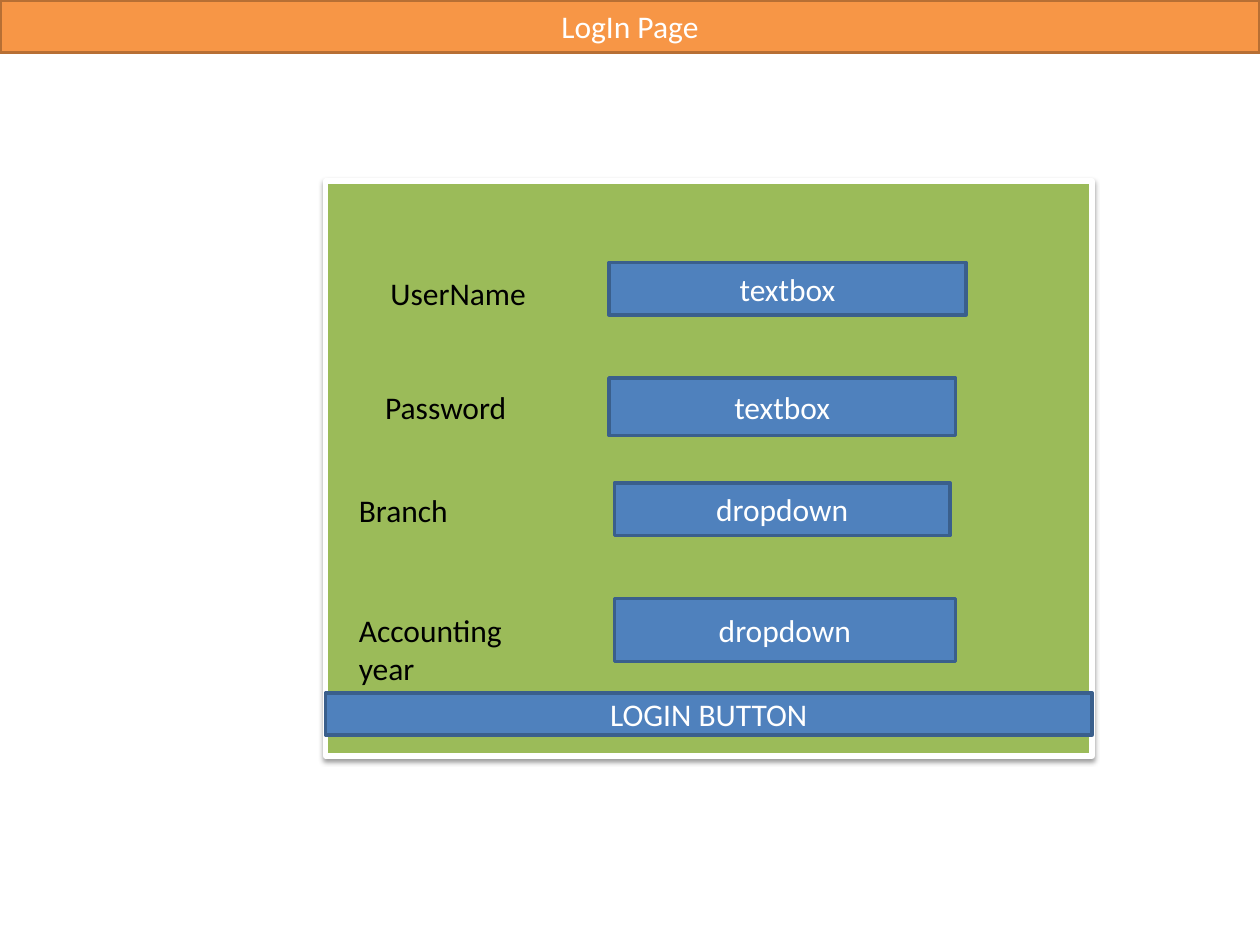
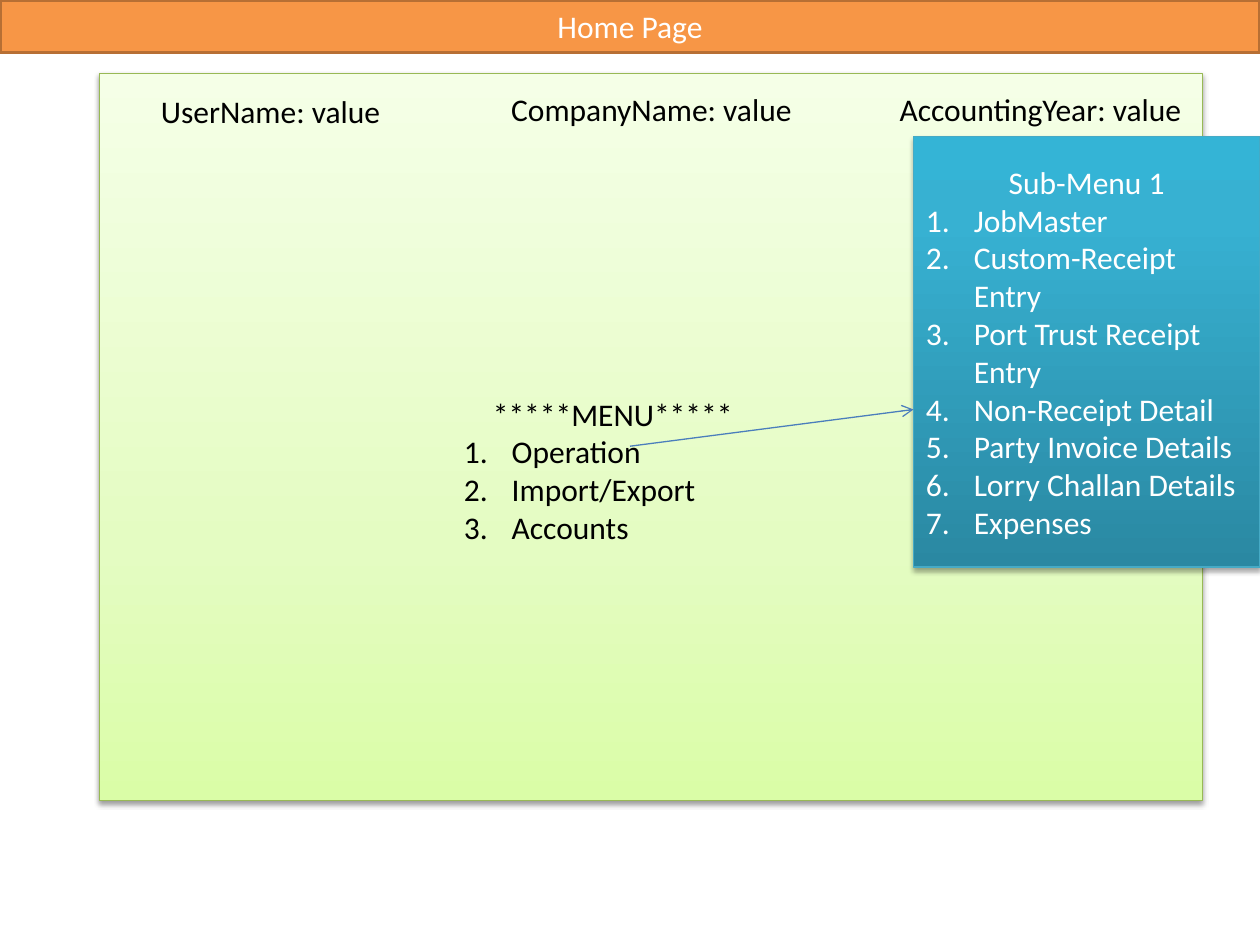
from lxml.etree import SubElement
from pptx import Presentation
from pptx.dml.color import RGBColor
from pptx.enum.shapes import MSO_CONNECTOR, MSO_SHAPE
from pptx.enum.text import MSO_ANCHOR, MSO_AUTO_SIZE, PP_ALIGN
from pptx.oxml.ns import qn
from pptx.util import Inches, Pt

# Grid: 240 columns by 180 rows, each cell 1/24 inch
COLS, ROWS = 240, 180
CELL = Inches(10) / COLS
FONT, SIZE = "Calibri", 18
COLORS = {
    "white": "FFFFFF", "black": "000000",
    "band": "F79646", "band_line": "B76F34",
    "field": "4F81BD", "field_line": "3A5F8C",
    "login": "9BBB59", "home_line": "98B955",
    "submenu_line": "46AAC5", "arrow": "4B7EBC",
}
HOME_STOPS = [(0, "DAFDA7"), (35, "E4FCC2"), (100, "F5FFE7")]
SUBMENU_STOPS = [(0, "2A88A2"), (80, "37B1D2"), (100, "34B4D6")]


def rgb(name):
    return RGBColor.from_string(COLORS[name])


def cells(*values):
    return [round(v * CELL) for v in values]


def add_xml(parent, tag, **attrs):
    return SubElement(parent, qn(tag), {k: str(v) for k, v in attrs.items()})


def write(tf, lines, color, align=None):
    tf.word_wrap = True
    tf.text = "\n".join(lines)
    for p in tf.paragraphs:
        p.alignment = align
        for r in p.runs:
            r.font.name, r.font.size = FONT, Pt(SIZE)
            r.font.color.rgb = rgb(color)


def indent(p, left, first=0):
    pPr = p._p.get_or_add_pPr()
    pPr.set("marL", str(Inches(left)))
    pPr.set("indent", str(Inches(first)))
    return pPr


def number(paragraphs):
    for p in paragraphs:
        p.alignment = PP_ALIGN.LEFT
        pPr = indent(p, 0.38, -0.38)
        add_xml(pPr, "a:buFont", typeface="+mj-lt")
        add_xml(pPr, "a:buAutoNum", type="arabicPeriod")


def add_box(slide, at, line, width, fill=None, stops=None, lines=()):
    """Rectangle with a plain fill or upward gradient and centred text."""
    sp = slide.shapes.add_shape(MSO_SHAPE.RECTANGLE, *cells(*at))
    sp.shadow.inherit = False
    if stops:
        sp.fill.gradient()
        sp.fill.gradient_angle = 90
        gs_list = sp._element.spPr.find(".//" + qn("a:gsLst"))
        gs_list[:] = []
        for pos, color in stops:
            gs = add_xml(gs_list, "a:gs", pos=pos * 1000)
            add_xml(gs, "a:srgbClr", val=color)
    else:
        sp.fill.solid()
        sp.fill.fore_color.rgb = rgb(fill)
    sp.line.color.rgb = rgb(line)
    sp.line.width = Pt(width)
    if lines:
        sp.text_frame.vertical_anchor = MSO_ANCHOR.MIDDLE
        write(sp.text_frame, lines, "white", PP_ALIGN.CENTER)
    return sp


def add_shadow(sp, alpha, distance):
    effects = sp._element.spPr.find(qn("a:effectLst"))
    shadow = add_xml(effects, "a:outerShdw", blurRad=Pt(3.1), dist=Pt(distance),
                     dir=90 * 60000, rotWithShape=0)
    color = add_xml(shadow, "a:srgbClr", val=COLORS["black"])
    add_xml(color, "a:alpha", val=alpha * 1000)


def add_label(slide, at, *lines):
    tf = slide.shapes.add_textbox(*cells(*at)).text_frame
    write(tf, lines, "black")
    tf.auto_size = MSO_AUTO_SIZE.SHAPE_TO_FIT_TEXT
    return tf


def add_field(slide, at, text):
    add_box(slide, at, "field_line", 2, "field", lines=[text])


def add_arrow(slide, start, end):
    ln = slide.shapes.add_connector(MSO_CONNECTOR.STRAIGHT, *cells(*start, *end))
    ln.line.color.rgb = rgb("arrow")
    ln.line.width = Pt(0.75)
    add_xml(ln.line._get_or_add_ln(), "a:tailEnd", type="arrow")
    add_xml(ln._element.spPr, "a:effectLst")


def add_page(prs, title):
    slide = prs.slides.add_slide(prs.slide_layouts[6])
    add_box(slide, (0, 0, COLS, 10), "band_line", 2, "band", lines=[title])
    return slide


def login_page(prs):
    slide = add_page(prs, "LogIn Page")
    left, width = 62, 146
    panel = add_box(slide, (left, 34.5, width, 109.5), "white", 3, "login")
    add_shadow(panel, 38, 1.6)

    # Form rows: label and its place, control and its place
    rows = [
        ("UserName", (72, 51, 36, 9.6), "textbox", (116, 50, 68, 10)),
        ("Password", (71, 72.7, 36, 9.6), "textbox", (116, 72, 66, 11)),
        ("Branch", (66, 92.4, 36, 9.6), "dropdown", (117, 92, 64, 10)),
        ("Accounting year", (66, 115.2, 36, 17), "dropdown", (117, 114, 65, 12)),
    ]
    for label, label_at, control, control_at in rows:
        add_label(slide, label_at, label)
        add_field(slide, control_at, control)
    add_field(slide, (left, 132, width, 8), "LOGIN BUTTON")


def home_page(prs):
    slide = add_page(prs, "Home Page")
    panel = add_box(slide, (19, 14, 210, 138.5), "home_line", 0.75, stops=HOME_STOPS)
    add_shadow(panel, 38, 1.6)

    # Session details
    for name, x, y, width in [("UserName", 28.3, 16.4, 50),
                              ("CompanyName", 95, 16, 67),
                              ("AccountingYear", 169, 16, 60)]:
        add_label(slide, (x, y, width, 9.6), name + ": value")

    # Main menu
    menu = add_label(slide, (86, 74, 72, 31.5), "*****MENU*****",
                     "Operation", "Import/Export", "Accounts")
    indent(menu.paragraphs[0], 0.23)
    number(menu.paragraphs[1:])

    # Sub-menu opened from the first entry
    submenu = add_box(slide, (174, 26, 66, 82), "submenu_line", 0.75,
                      stops=SUBMENU_STOPS,
                      lines=["Sub-Menu 1", "JobMaster", "Custom-Receipt Entry",
                             "Port Trust Receipt Entry", "Non-Receipt Detail",
                             "Party Invoice Details", "Lorry Challan Details",
                             "Expenses"])
    add_shadow(submenu, 35, 1.8)
    number(submenu.text_frame.paragraphs[1:])
    add_arrow(slide, (120, 85), (174, 78))


def main():
    prs = Presentation()
    prs.slide_width, prs.slide_height = cells(COLS, ROWS)
    login_page(prs)
    home_page(prs)
    prs.save("out.pptx")


main()
